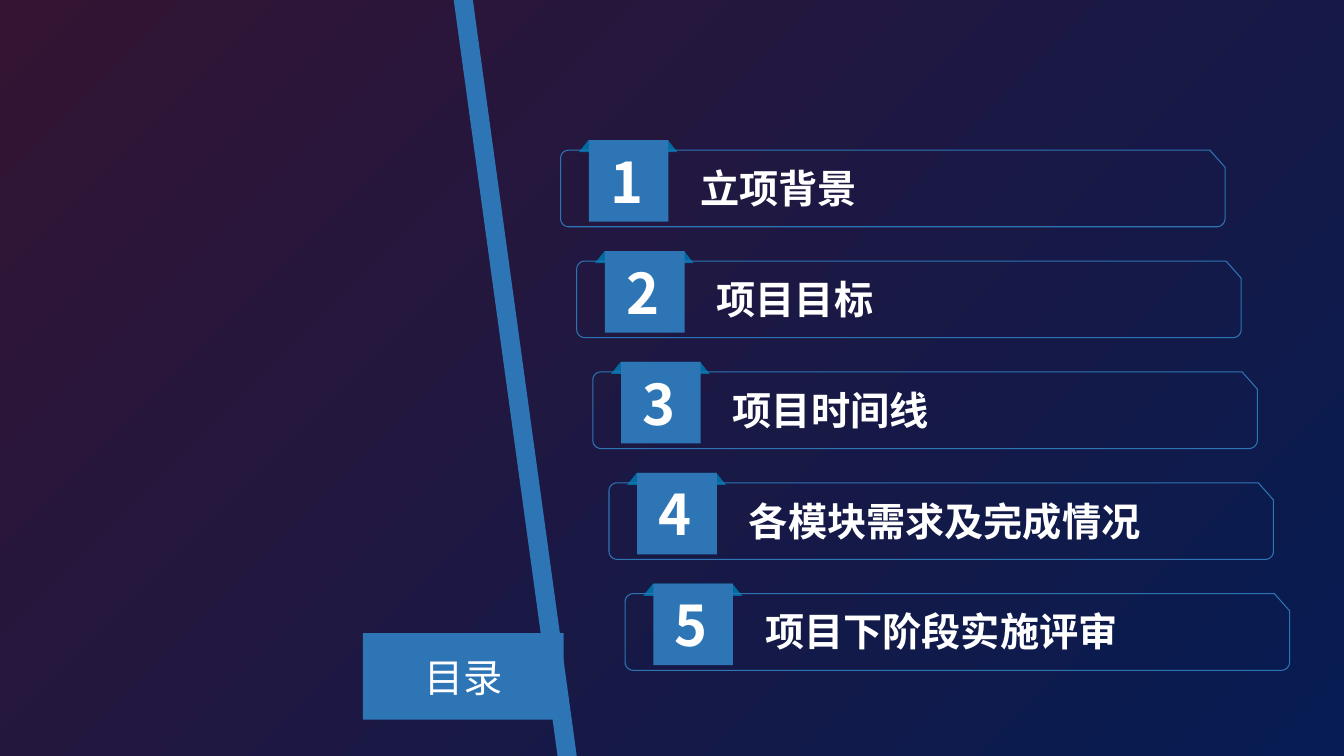
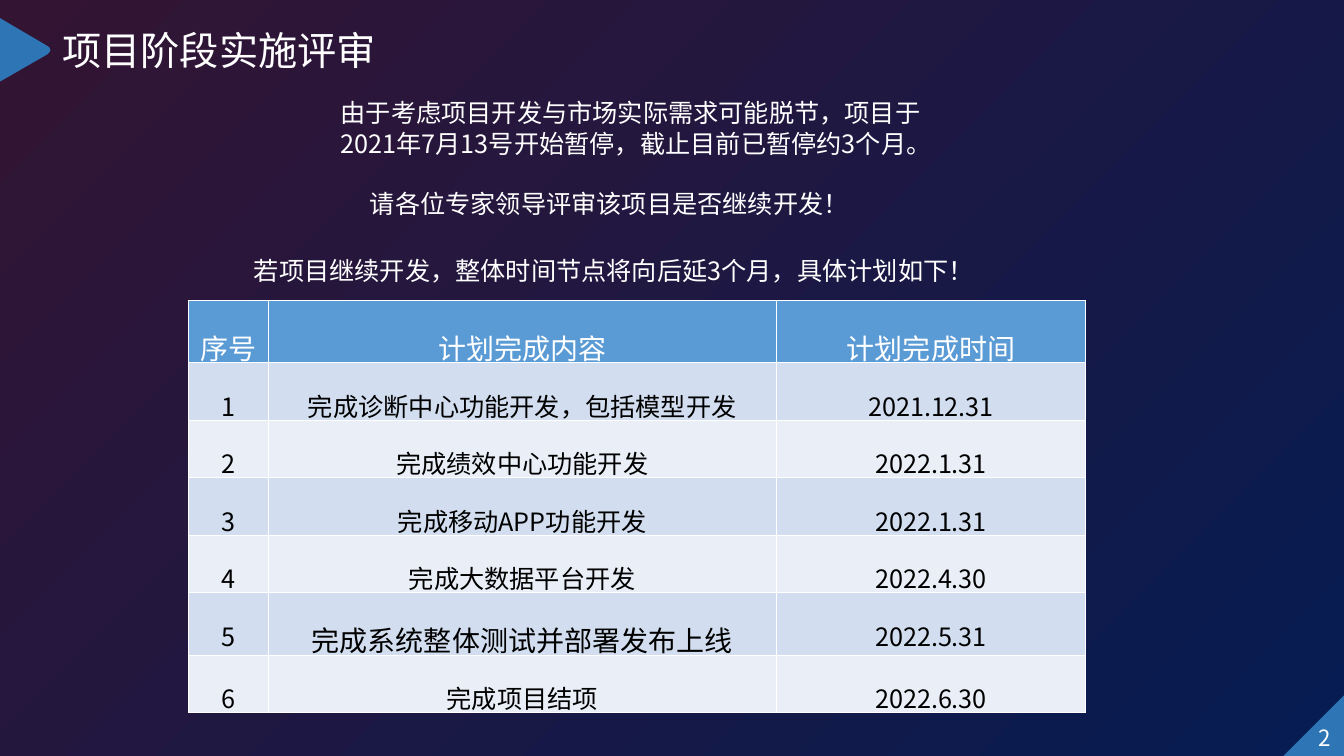
from dataclasses import dataclass
from math import cos, radians, sin

from lxml import etree
from pptx import Presentation
from pptx.dml.color import RGBColor
from pptx.enum.shapes import MSO_SHAPE
from pptx.enum.text import MSO_ANCHOR, PP_ALIGN
from pptx.oxml.ns import qn
from pptx.util import Inches, Pt

RECTANGLE = MSO_SHAPE.RECTANGLE
TRAPEZOID = MSO_SHAPE.TRAPEZOID
TRIANGLE = MSO_SHAPE.ISOSCELES_TRIANGLE
LEFT, CENTER, RIGHT = PP_ALIGN.LEFT, PP_ALIGN.CENTER, PP_ALIGN.RIGHT
TOP, MIDDLE = MSO_ANCHOR.TOP, MSO_ANCHOR.MIDDLE
TITLE_ONLY = 5


@dataclass(frozen=True)
class Theme:
    font: str = "Noto Sans CJK SC"
    white: str = "FFFFFF"
    black: str = "000000"
    accent: str = "2E75B6"
    fold: str = "006BA0"
    gradient: tuple = ("331433", "061C52")
    header: str = "5B9BD5"
    bands: tuple = ("D2DEEF", "EAEFF7")
    number: int = 40
    title: int = 28
    large: int = 20
    body: int = 18
    footer: int = 16


def color(value):
    return RGBColor.from_string(value)


def arc(x, y, radius, start):
    angles = [radians(start + step) for step in range(0, 91, 15)]
    return [(x + radius * cos(angle), y + radius * sin(angle)) for angle in angles]


class Slides:
    def __init__(self, theme):
        self.theme = theme
        self.deck = Presentation()
        self.deck.slide_width = Inches(13.33)
        self.deck.slide_height = Inches(7.5)
        fill = self.deck.slide_master.background.fill
        fill.gradient()
        fill.gradient_angle = 315
        for stop, value in zip(fill.gradient_stops, theme.gradient):
            stop.color.rgb = color(value)

    def add_page(self):
        self.page = self.deck.slides.add_slide(self.deck.slide_layouts[TITLE_ONLY])
        self.shapes = self.page.shapes

    def style(self, paragraph, size, ink=None, bold=False, align=LEFT):
        paragraph.alignment = align
        for span in paragraph.runs:
            span.font.size = Pt(size)
            span.font.bold = bold
            span.font.color.rgb = color(ink or self.theme.white)
            span.font.name = self.theme.font
            east_asian = etree.SubElement(span.font._element, qn("a:ea"))
            east_asian.set("typeface", self.theme.font)

    def paint(self, shape, fill=None, line=None):
        shape.shadow.inherit = False
        if fill:
            shape.fill.solid()
            shape.fill.fore_color.rgb = color(fill)
        else:
            shape.fill.background()
        if line:
            shape.line.color.rgb = color(line)
            shape.line.width = Pt(0)
        else:
            shape.line.fill.background()
        return shape

    def title(self, text, left, top, width, height, fill=None, align=LEFT):
        box = self.page.shapes.title
        box.left, box.top = Inches(left), Inches(top)
        box.width, box.height = Inches(width), Inches(height)
        frame = box.text_frame
        frame.text = text
        frame.word_wrap = False
        frame.vertical_anchor = MIDDLE
        self.style(frame.paragraphs[0], self.theme.title, align=align)
        if fill:
            box.fill.solid()
            box.fill.fore_color.rgb = color(fill)

    def shape(self, kind, left, top, width, height, fill):
        shape = self.shapes.add_shape(
            kind, Inches(left), Inches(top), Inches(width), Inches(height))
        return self.paint(shape, fill)

    def outline(self, points, fill=None, line=None):
        points = [(Inches(x), Inches(y)) for x, y in points]
        builder = self.shapes.build_freeform(*points[0])
        builder.add_line_segments(points[1:], close=True)
        return self.paint(builder.convert_to_shape(), fill, line)

    def text(self, text, left, top, width, height, size, bold=False, align=LEFT, wrap=True):
        box = self.shapes.add_textbox(
            Inches(left), Inches(top), Inches(width), Inches(height))
        frame = box.text_frame
        frame.word_wrap = wrap
        frame.vertical_anchor = TOP
        frame.text = text
        for paragraph in frame.paragraphs:
            self.style(paragraph, size, bold=bold, align=align)
        return frame

    def agenda_card(self, number, text, left, top):
        self.shapes = self.page.shapes.add_group_shape().shapes
        fold = self.shape(TRAPEZOID, left + 0.18, top, 0.98, 0.12, self.theme.fold)
        fold.adjustments[0] = 0.8
        upper, right, lower, radius = top + 0.1, left + 6.59, top + 0.86, 0.08
        corners = [(right - 0.15, upper), (right, upper + 0.17)]
        corners += arc(right - radius, lower - radius, radius, 0)
        corners += arc(left + radius, lower - radius, radius, 90)
        corners += arc(left + radius, upper + radius, radius, 180)
        self.outline(corners, line=self.theme.accent)
        square = self.shape(RECTANGLE, left + 0.28, top, 0.79, 0.81, self.theme.accent)
        frame = square.text_frame
        frame.text = str(number)
        frame.vertical_anchor = MIDDLE
        frame.margin_left = frame.margin_top = frame.margin_bottom = 0
        frame.margin_right = Inches(0.04)
        self.style(frame.paragraphs[0], self.theme.number, bold=True, align=CENTER)
        self.text(text, left + 1.29, top + 0.19, 4.13, 0.57,
                  self.theme.title, bold=True, wrap=False)
        self.shapes = self.page.shapes

    def page_number(self):
        corner = self.shape(TRIANGLE, 12.73, 6.9, 0.6, 0.6, self.theme.accent)
        corner.adjustments[0] = 1
        number = len(self.deck.slides)
        frame = self.text(str(number), 12.98, 7.13, 0.3, 0.29,
                          self.theme.footer, align=RIGHT)
        paragraph = frame.paragraphs[0]
        span = paragraph.runs[0]
        field = etree.Element(qn("a:fld"), type="slidenum",
                              id="{B6F15528-21DE-4FAA-801E-634DDDAF4B2B}")
        field.append(span.font._element)
        etree.SubElement(field, qn("a:t")).text = str(number)
        paragraph._p.replace(span._r, field)

    def cell_border(self, cell):
        properties = cell._tc.get_or_add_tcPr()
        for side in ("lnL", "lnR", "lnT", "lnB"):
            line = etree.SubElement(properties, qn(f"a:{side}"), w=str(Pt(1)))
            fill = etree.SubElement(line, qn("a:solidFill"))
            etree.SubElement(fill, qn("a:srgbClr"), val=self.theme.white)

    def table(self, rows, left, top, widths, heights, large_cells):
        frame = self.shapes.add_table(
            len(rows), len(widths), Inches(left), Inches(top),
            Inches(sum(widths)), Inches(sum(heights)))
        table = frame.table
        table.first_row = table.horz_banding = False
        for column, width in zip(table.columns, widths):
            column.width = Inches(width)
        for index, (row, height) in enumerate(zip(rows, heights)):
            table.rows[index].height = Inches(height)
            header = index == 0
            fill = self.theme.header if header else self.theme.bands[(index - 1) % 2]
            ink = self.theme.white if header else self.theme.black
            for column, text in enumerate(row):
                cell = table.cell(index, column)
                self.cell_border(cell)
                cell.fill.solid()
                cell.fill.fore_color.rgb = color(fill)
                cell.vertical_anchor = MIDDLE
                cell.margin_top = cell.margin_bottom = Inches(0.06)
                cell.text = text
                paragraph = cell.text_frame.paragraphs[0]
                paragraph.line_spacing = 1.5
                large = header or (index, column) in large_cells
                size = self.theme.large if large else self.theme.body
                self.style(paragraph, size, ink, align=CENTER)


def agenda(slides):
    slides.add_page()
    slides.title("目录", 3.6, 6.28, 1.99, 0.86, slides.theme.accent, CENTER)
    slides.outline([(4.5, 0), (4.69, 0), (5.72, 7.5), (5.53, 7.5)], slides.theme.accent)
    topics = ["立项背景", "项目目标", "项目时间线", "各模块需求及完成情况", "项目下阶段实施评审"]
    for index, topic in enumerate(topics):
        slides.agenda_card(index + 1, topic, 5.56 + 0.16 * index, 1.39 + 1.1 * index)


def review(slides):
    slides.add_page()
    slides.title("项目阶段实施评审", 0.52, 0.21, 3.34, 0.57)
    slides.outline([(0, 0.18), (0.46, 0.45), (0.49, 0.47), (0.5, 0.5), (0.49, 0.52),
                    (0.47, 0.54), (0, 0.81)], slides.theme.accent)
    slides.page_number()
    body = slides.theme.body
    frame = slides.text(
        "由于考虑项目开发与市场实际需求可能脱节，项目于2021年7月13号开始暂停，"
        "截止目前已暂停约3个月。\n请各位专家领导评审该项目是否继续开发！",
        3.28, 0.92, 6.38, 1.31, body)
    request = frame.paragraphs[1]
    request.space_before = Pt(21.6)
    request._p.get_or_add_pPr().set("indent", str(Inches(0.29)))
    rows = [
        ("序号", "计划完成内容", "计划完成时间"),
        ("1", "完成诊断中心功能开发，包括模型开发", "2021.12.31"),
        ("2", "完成绩效中心功能开发", "2022.1.31"),
        ("3", "完成移动APP功能开发", "2022.1.31"),
        ("4", "完成大数据平台开发", "2022.4.30"),
        ("5", "完成系统整体测试并部署发布上线", "2022.5.31"),
        ("6", "完成项目结项", "2022.6.30"),
    ]
    heights = [0.55] + [0.51] * 4 + [0.56, 0.51]
    slides.table(rows, 1.87, 2.98, [0.79, 5.04, 3.07], heights, {(5, 1)})
    slides.text("若项目继续开发，整体时间节点将向后延3个月，具体计划如下！",
                2.42, 2.48, 7.64, 0.4, body)


def main():
    slides = Slides(Theme())
    agenda(slides)
    review(slides)
    slides.deck.save("out.pptx")


if __name__ == "__main__":
    main()
